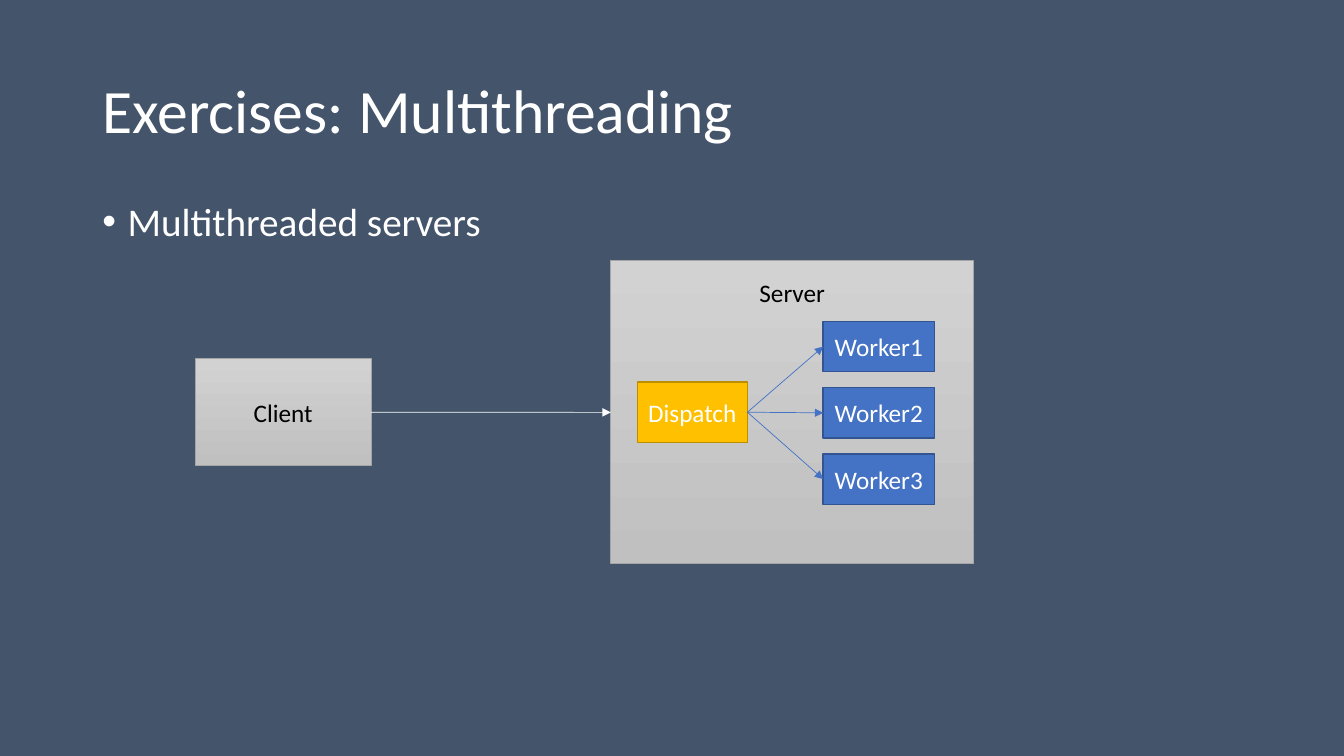
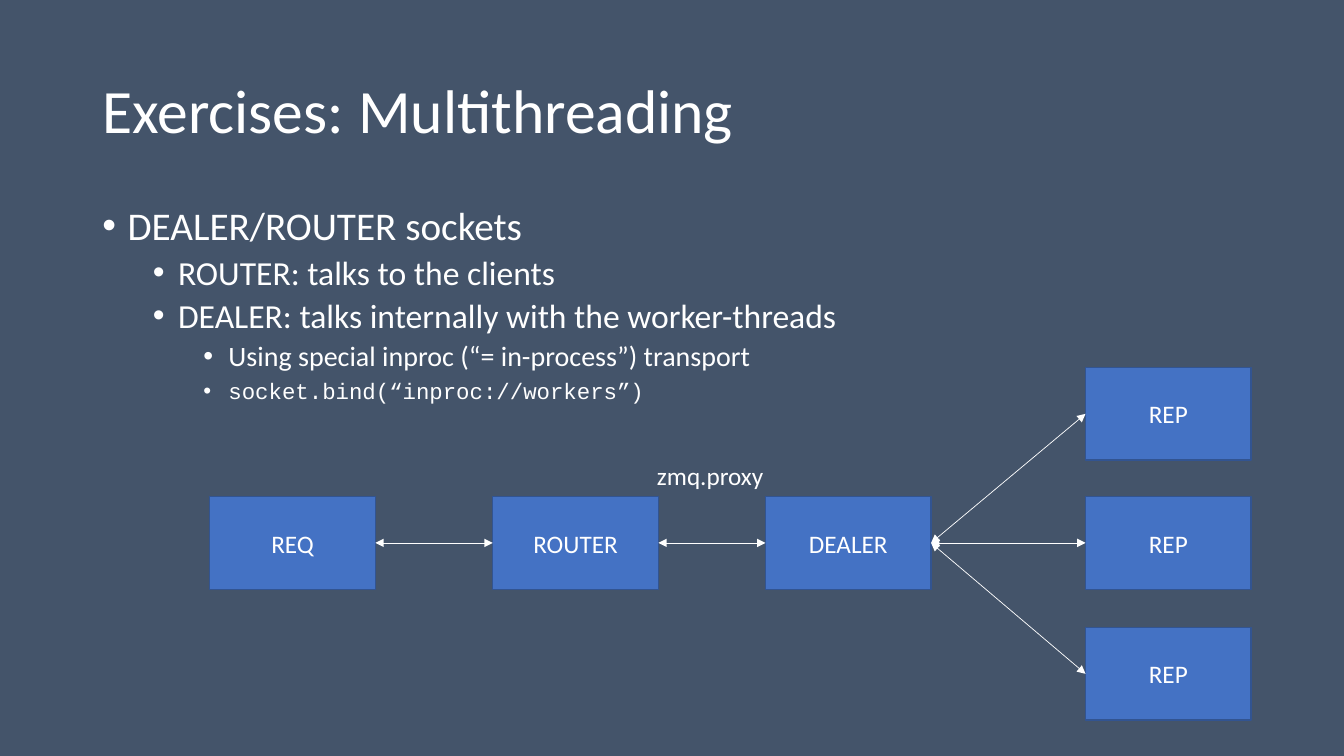
"""Build two slides on multithreaded servers and their sockets."""
import pptx
import pptx.dml.color
import pptx.enum.shapes
import pptx.enum.text
import pptx.oxml.ns
import pptx.util
from lxml import etree

Pt = pptx.util.Pt
RGBColor = pptx.dml.color.RGBColor
Align = pptx.enum.text.PP_ALIGN
Anchor = pptx.enum.text.MSO_ANCHOR
AutoSize = pptx.enum.text.MSO_AUTO_SIZE
qn = pptx.oxml.ns.qn

SLATE = RGBColor(0x44, 0x54, 0x6A)
WHITE = RGBColor(0xFF, 0xFF, 0xFF)
BLACK = RGBColor(0x00, 0x00, 0x00)
BLUE = RGBColor(0x44, 0x72, 0xC4)
DARK_BLUE = RGBColor(0x32, 0x54, 0x91)
GOLD = RGBColor(0xFF, 0xC0, 0x00)
DARK_GOLD = RGBColor(0xBD, 0x8E, 0x00)
GRAY = RGBColor(0xA5, 0xA5, 0xA5)
LIGHT_GRAY = RGBColor(0xD2, 0xD2, 0xD2)
MID_GRAY = RGBColor(0xC0, 0xC0, 0xC0)

TITLE = "Exercises: Multithreading"
TITLE_AREA = (66, 28.8, 828, 104.4)
BODY_AREA = (66, 144, 828, 342.7)
TITLE_FONT = {"name": "Calibri", "size": Pt(44)}
LABEL_FONT = {"name": "Calibri", "size": Pt(18)}
LEVEL_FORMATS = [
    {"size": 28, "left": 18, "before": 10},
    {"size": 24, "left": 54, "before": 5},
    {"size": 20, "left": 90, "before": 5},
]
CODE_FONT = {"name": "Courier New", "size": Pt(16)}
HANGING = 18

BOX_STYLES = {
    "gray": {"fill": (LIGHT_GRAY, MID_GRAY), "line": GRAY, "width": 0.5, "text": BLACK},
    "gold": {"fill": (GOLD,), "line": DARK_GOLD, "width": 1, "text": WHITE},
    "blue": {"fill": (BLUE,), "line": DARK_BLUE, "width": 1, "text": WHITE},
}

WORKER_TOP, WORKER_STEP = 229.6, 47.3
SERVER_BOXES = {
    "client": ("Client", "gray", (139.7, 256.3, 125.3, 76.4)),
    "server": ("Server", "gray", (436.3, 186.3, 259.2, 216.5)),
    "dispatch": ("Dispatch", "gold", (455.2, 272.8, 78.7, 43.3)),
}
for index in range(3):
    area = (588, WORKER_TOP + index * WORKER_STEP, 79.4, 36)
    SERVER_BOXES[f"worker{index + 1}"] = (f"Worker{index + 1}", "blue", area)

SOCKET_SIZE = (118.3, 66.2)
SOCKET_ROW = 354.7
SOCKET_PLACES = {
    "req": ("REQ", 149.8, SOCKET_ROW),
    "router": ("ROUTER", 352, SOCKET_ROW),
    "dealer": ("DEALER", 546.8, SOCKET_ROW),
    "rep1": ("REP", 775.4, 262.5),
    "rep2": ("REP", 775.4, SOCKET_ROW),
    "rep3": ("REP", 775.4, 448.2),
}
SOCKET_BOXES = {
    key: (label, "blue", (left, top, *SOCKET_SIZE))
    for key, (label, left, top) in SOCKET_PLACES.items()
}

SLIDES = [
    {
        "bullets": [(0, "Multithreaded servers", {})],
        "spacing": 0.8,
        "boxes": SERVER_BOXES,
        "top_labels": ["server"],
        "arrows": [("dispatch", f"worker{number}", BLUE) for number in (1, 2, 3)]
        + [("client", "server", WHITE)],
        "ends": ["tailEnd"],
        "captions": [],
    },
    {
        "bullets": [
            (0, "DEALER/ROUTER sockets", {}),
            (1, "ROUTER: talks to the clients", {}),
            (1, "DEALER: talks internally with the worker-threads", {}),
            (2, "Using special inproc (“= in-process”) transport", {}),
            (2, "socket.bind(“inproc://workers”)", CODE_FONT),
        ],
        "spacing": 0.9,
        "boxes": SOCKET_BOXES,
        "top_labels": [],
        "arrows": [("req", "router", WHITE), ("router", "dealer", WHITE)]
        + [("dealer", f"rep{number}", WHITE) for number in (1, 2, 3)],
        "ends": ["headEnd", "tailEnd"],
        "captions": [("zmq.proxy", (462.2, 325.4, 91.4, 29))],
    },
]


def apply(target, formats):
    """Set each format value on the target."""
    for name, value in formats.items():
        setattr(target, name, value)


def place(shape, area):
    """Move and size a shape in points."""
    names = ("left", "top", "width", "height")
    apply(shape, {name: Pt(value) for name, value in zip(names, area)})


def write(paragraph, text, font, color, **formats):
    """Put one formatted run in a paragraph."""
    run = paragraph.add_run()
    run.text = text
    apply(run.font, font)
    run.font.color.rgb = color
    apply(paragraph, formats)


def add_bullet(paragraph, level, text, font, spacing):
    """Write a list item with its indent and bullet."""
    formats = LEVEL_FORMATS[level]
    base_font = {"name": "Calibri", "size": Pt(formats["size"])}
    write(paragraph, text, {**base_font, **font}, WHITE, level=level,
          alignment=Align.LEFT, line_spacing=spacing,
          space_before=Pt(formats["before"]), space_after=Pt(0))
    properties = paragraph._p.get_or_add_pPr()
    properties.set("marL", str(Pt(formats["left"])))
    properties.set("indent", str(-Pt(HANGING)))
    etree.SubElement(properties, qn("a:buFont"), typeface="Arial")
    etree.SubElement(properties, qn("a:buChar"), char="•")


def add_box(slide, label, style_name, area, at_top):
    """Draw a labelled rectangle."""
    style = BOX_STYLES[style_name]
    box = slide.shapes.add_shape(
        pptx.enum.shapes.MSO_SHAPE.RECTANGLE, *map(Pt, area))
    box.shadow.inherit = False
    if len(style["fill"]) > 1:
        box.fill.gradient()
        box.fill.gradient_angle = 270
        for stop, color in zip(box.fill.gradient_stops, style["fill"]):
            stop.color.rgb = color
    else:
        box.fill.solid()
        box.fill.fore_color.rgb = style["fill"][0]
    box.line.color.rgb = style["line"]
    box.line.width = Pt(style["width"])
    frame = box.text_frame
    apply(frame, {"word_wrap": True, "vertical_anchor": Anchor.MIDDLE})
    if at_top:
        apply(frame, {"vertical_anchor": Anchor.TOP, "margin_top": Pt(12)})
    write(frame.paragraphs[0], label, LABEL_FONT, style["text"], alignment=Align.CENTER)
    return box


def add_arrow(slide, start, end, color, ends):
    """Join the right side of one box to the left side of another."""
    arrow = slide.shapes.add_connector(
        pptx.enum.shapes.MSO_CONNECTOR.STRAIGHT, 0, 0, 0, 0)
    arrow.begin_connect(start, 3)
    arrow.end_connect(end, 1)
    arrow.line.color.rgb = color
    arrow.line.width = Pt(0.5)
    line = arrow.line._get_or_add_ln()
    for end_name in ends:
        etree.SubElement(line, qn(f"a:{end_name}"), type="triangle")
    etree.SubElement(arrow._element.spPr, qn("a:effectLst"))


def add_caption(slide, text, area):
    """Add a free label."""
    frame = slide.shapes.add_textbox(*map(Pt, area)).text_frame
    apply(frame, {"word_wrap": False, "auto_size": AutoSize.SHAPE_TO_FIT_TEXT})
    write(frame.paragraphs[0], text, LABEL_FONT, WHITE)


def build_slide(presentation, layout, content):
    """Add one slide with title, list and diagram."""
    slide = presentation.slides.add_slide(layout)
    title, body = slide.placeholders
    apply(title.text_frame, {"vertical_anchor": Anchor.MIDDLE, "auto_size": AutoSize.NONE})
    write(title.text_frame.paragraphs[0], TITLE, TITLE_FONT, WHITE,
          alignment=Align.LEFT, line_spacing=0.9)
    frame = body.text_frame
    apply(frame, {"vertical_anchor": Anchor.TOP, "auto_size": AutoSize.NONE})
    for index, (level, text, font) in enumerate(content["bullets"]):
        paragraph = frame.add_paragraph() if index else frame.paragraphs[0]
        add_bullet(paragraph, level, text, font, content["spacing"])
    boxes = {
        key: add_box(slide, *box, key in content["top_labels"])
        for key, box in content["boxes"].items()
    }
    for start, end, color in content["arrows"]:
        add_arrow(slide, boxes[start], boxes[end], color, content["ends"])
    for text, area in content["captions"]:
        add_caption(slide, text, area)


def main():
    """Set up the shared look and save the slides."""
    presentation = pptx.Presentation()
    apply(presentation, {"slide_width": Pt(960), "slide_height": Pt(540)})
    background = presentation.slide_master.background.fill
    background.solid()
    background.fore_color.rgb = SLATE
    layout = presentation.slide_layouts[1]
    for placeholder, area in zip(layout.placeholders, (TITLE_AREA, BODY_AREA)):
        place(placeholder, area)
    for content in SLIDES:
        build_slide(presentation, layout, content)
    presentation.save("out.pptx")


if __name__ == "__main__":
    main()
